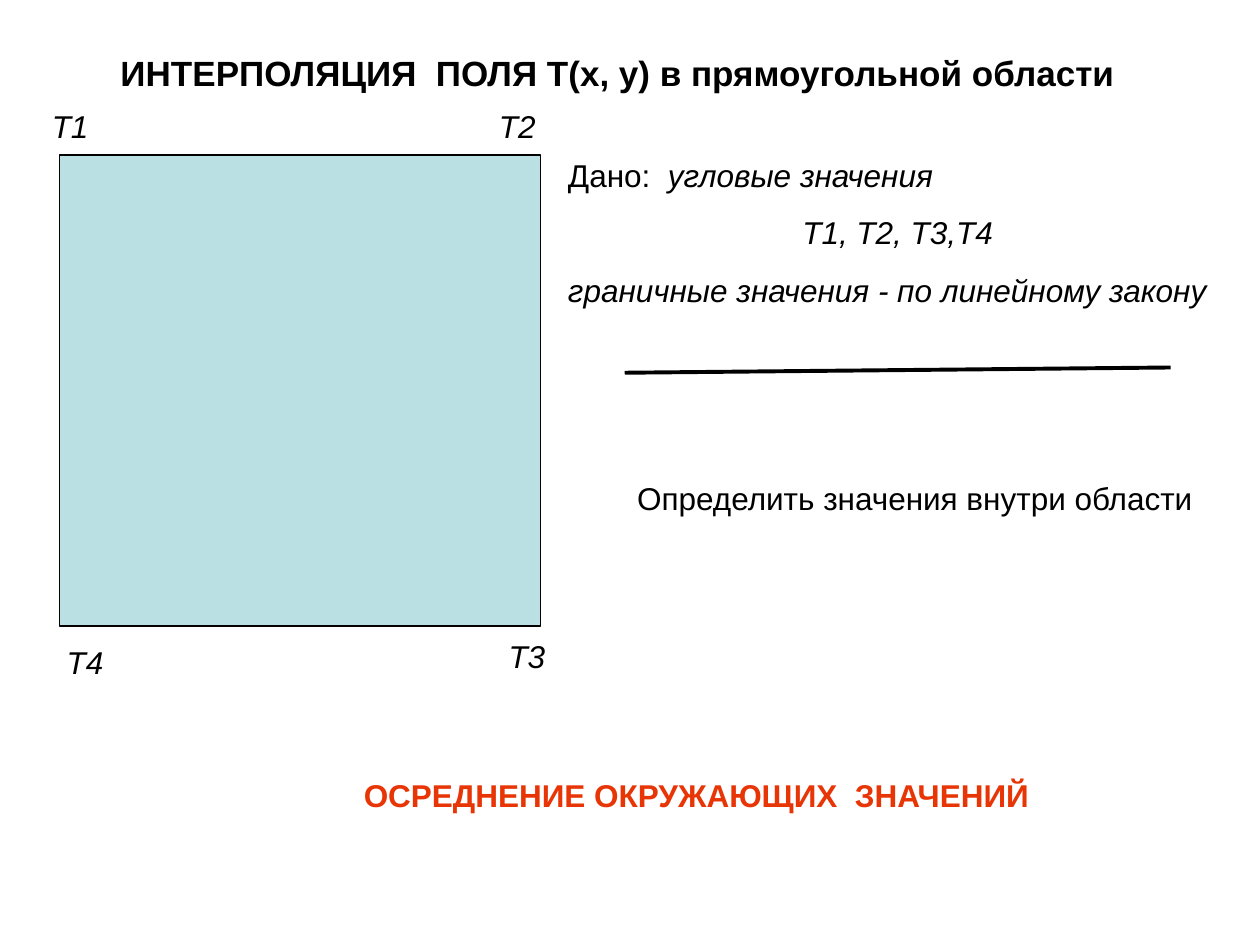
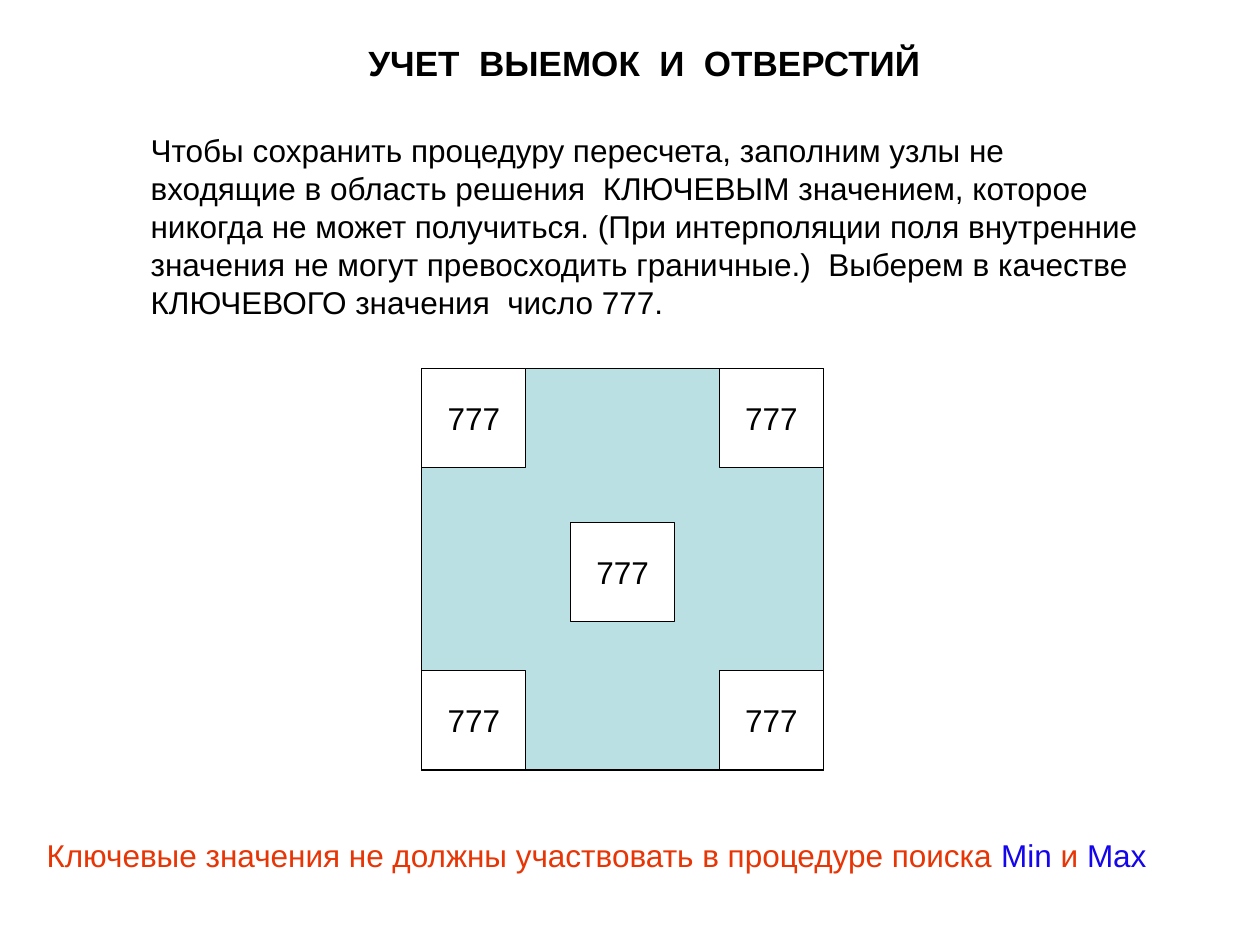
import pptx
import pptx.dml.color
import pptx.enum.shapes
import pptx.enum.text
import pptx.util
from lxml import etree

Pt = pptx.util.Pt
ALIGN = pptx.enum.text.PP_ALIGN
FONT = "Arial"
BODY_SIZE, TITLE_SIZE = 18, 20
BLACK, WHITE, RED, BLUE, AQUA = "000000", "FFFFFF", "E73505", "1505EB", "BBE0E3"
LABEL_W, LINE_H = 51, 28.8


def rgb(color):
    return pptx.dml.color.RGBColor.from_string(color)


def style_font(font, size=BODY_SIZE, color=BLACK, bold=False, italic=False):
    font.name, font.size = FONT, Pt(size)
    font.bold, font.italic = bold, italic
    font.color.rgb = rgb(color)


def add_text(slide, box, paragraphs, align=ALIGN.LEFT, **style):
    """Add a text box; each paragraph is a string."""
    s = slide.shapes.add_textbox(*map(Pt, box))
    tf = s.text_frame
    tf.word_wrap = True
    tf.auto_size = pptx.enum.text.MSO_AUTO_SIZE.SHAPE_TO_FIT_TEXT
    for i, text in enumerate(paragraphs):
        p = tf.add_paragraph() if i else tf.paragraphs[0]
        if i:
            p.space_before = Pt(11.25)
        p.alignment = align
        style_font(p.font, **style)
        if text:
            p.add_run().text = text
    return tf


def add_title(slide, box, text):
    add_text(slide, box, [text], ALIGN.CENTER, size=TITLE_SIZE, bold=True)


def add_rect(slide, box, fill):
    s = slide.shapes.add_shape(pptx.enum.shapes.MSO_SHAPE.RECTANGLE, *map(Pt, box))
    s.shadow.inherit = False
    s.fill.solid()
    s.fill.fore_color.rgb = rgb(fill)
    s.line.color.rgb = rgb(BLACK)
    s.line.width = Pt(0.75)
    return s


def add_line(slide, start, end, width):
    s = slide.shapes.add_connector(pptx.enum.shapes.MSO_CONNECTOR.STRAIGHT,
                                   *map(Pt, start + end))
    s.line.color.rgb = rgb(BLACK)
    s.line.width = Pt(width)
    etree.SubElement(s._element.spPr, pptx.oxml.ns.qn("a:effectLst"))


def labelled_region(slide, box):
    x, y, w, h = box
    add_rect(slide, box, AQUA)
    offsets = {"T1": (-11.5, -31), "T2": (w - 31, -31),
               "T3": (w - 25.5, h + 3), "T4": (-3, h + 6)}
    for name, (dx, dy) in offsets.items():
        add_text(slide, (x + dx, y + dy, LABEL_W, LINE_H), [name], italic=True)


def problem_statement(slide, box):
    """Place what is given above a rule and what is sought below it."""
    x, y, w, _ = box
    tf = add_text(slide, (x, y, w, 95),
                  ["", "T1, T2, T3,T4", "граничные значения - по линейному закону"],
                  italic=True)
    given, corners, _ = tf.paragraphs
    r = given.add_run()
    r.text, r.font.italic = "Дано:  ", False
    given.add_run().text = "угловые значения"
    corners.alignment = ALIGN.CENTER
    add_line(slide, (x + 39.5, y + 127.5), (x + 351.5, y + 124.5), 2.25)
    add_text(slide, (x + 39.5, y + 184.5, 338, LINE_H),
             ["Определить значения внутри области"])


def region_with_cutouts(slide, box, cell_w, cell_h):
    x, y, w, h = box
    add_rect(slide, box, AQUA)
    # Fractions of the free width and height, the hole being slightly below centre
    for fx, fy in [(0, 0), (1, 0), (0, 1), (1, 1), (0.5, 0.51)]:
        s = add_rect(slide, (x + fx * (w - cell_w), y + fy * (h - cell_h),
                             cell_w, cell_h), WHITE)
        tf = s.text_frame
        tf.word_wrap = False
        tf.vertical_anchor = pptx.enum.text.MSO_ANCHOR.MIDDLE
        p = tf.paragraphs[0]
        p.alignment = ALIGN.CENTER
        style_font(p.font)
        p.add_run().text = "777"


def search_note(slide, box):
    p = add_text(slide, box, [""], color=RED).paragraphs[0]
    for text, color in [("Ключевые значения не должны участвовать в процедуре поиска ", RED),
                        ("Min ", BLUE), ("и ", RED), ("Max", BLUE)]:
        r = p.add_run()
        r.text = text
        r.font.color.rgb = rgb(color)


def interpolation_slide(slide):
    add_title(slide, (40, 26, 626, 31.5),
              "ИНТЕРПОЛЯЦИЯ  ПОЛЯ T(x, y) в прямоугольной области")
    labelled_region(slide, (34, 88.5, 275, 269.25))
    problem_statement(slide, (317.5, 85.5, 391, 213.5))
    add_text(slide, (121.5, 440, 553, LINE_H), ["ОСРЕДНЕНИЕ ОКРУЖАЮЩИХ  ЗНАЧЕНИЙ"],
             ALIGN.CENTER, color=RED, bold=True)


def cutouts_slide(slide):
    add_title(slide, (85, 20, 566.5, 31.5), "УЧЕТ  ВЫЕМОК  И  ОТВЕРСТИЙ")
    add_text(slide, (79, 71.5, 587, 115), [
        "Чтобы сохранить процедуру пересчета, заполним узлы не входящие в область "
        "решения  КЛЮЧЕВЫМ значением, которое никогда не может получиться. "
        "(При интерполяции поля внутренние значения не могут превосходить граничные.)  "
        "Выберем в качестве КЛЮЧЕВОГО значения  число 777."])
    region_with_cutouts(slide, (241, 210.5, 229.5, 229.5), 59.5, 56.75)
    search_note(slide, (19.5, 474, 674.5, LINE_H))


def main():
    prs = pptx.Presentation()
    prs.slide_width, prs.slide_height = Pt(720), Pt(540)
    for build in (interpolation_slide, cutouts_slide):
        build(prs.slides.add_slide(prs.slide_layouts[6]))
    prs.save("out.pptx")


if __name__ == "__main__":
    main()
